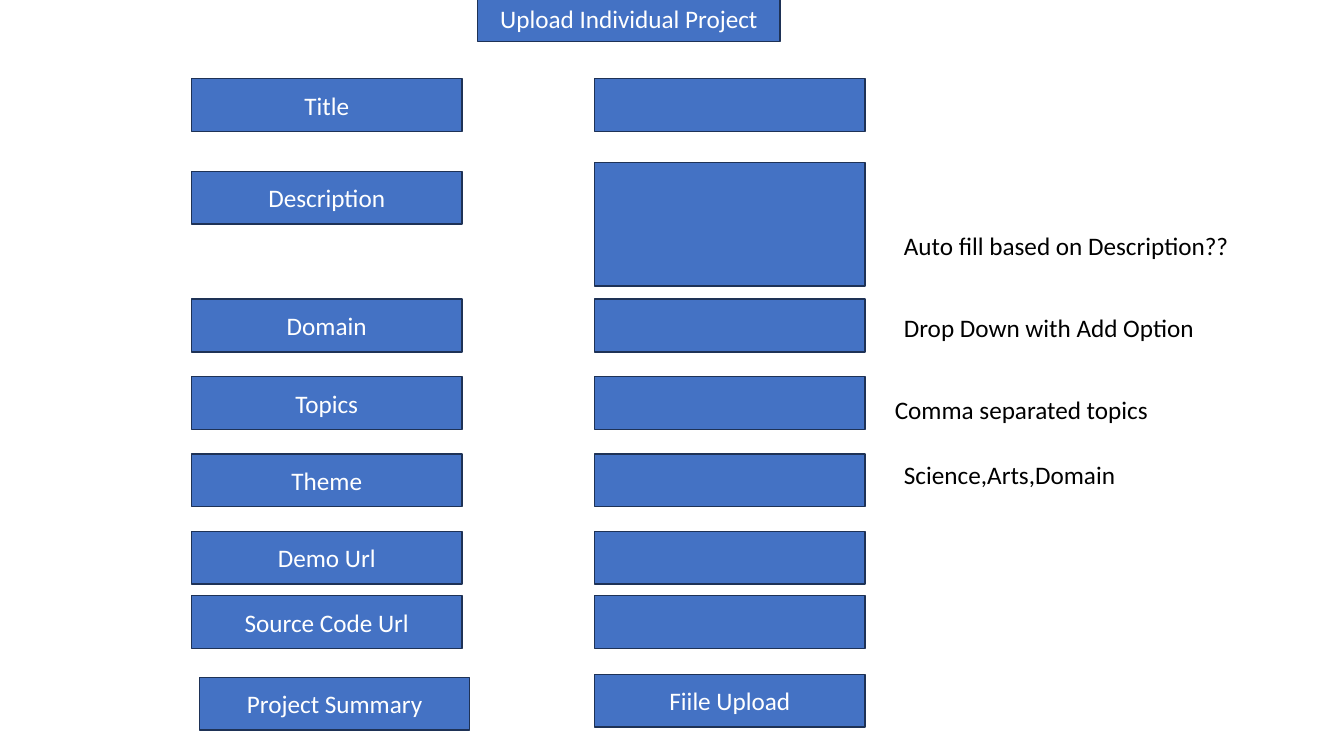
from pptx import Presentation
from pptx.dml.color import RGBColor
from pptx.enum.shapes import MSO_SHAPE
from pptx.enum.text import MSO_ANCHOR, MSO_AUTO_SIZE, PP_ALIGN
from pptx.util import Cm, Pt

RECTANGLE = MSO_SHAPE.RECTANGLE
MIDDLE = MSO_ANCHOR.MIDDLE
CENTER, LEFT = PP_ALIGN.CENTER, PP_ALIGN.LEFT
NO_FIT, GROW = MSO_AUTO_SIZE.NONE, MSO_AUTO_SIZE.SHAPE_TO_FIT_TEXT

BLUE = RGBColor(0x44, 0x72, 0xC4)
NAVY = RGBColor(0x1E, 0x32, 0x56)
WHITE = RGBColor(0xFF, 0xFF, 0xFF)
BLACK = RGBColor(0x00, 0x00, 0x00)
FONT, SIZE = "Calibri", Pt(18)

# Content; lengths in cm
HEADING = "Upload Individual Project"
LABEL_LEFT, FIELD_LEFT = 4.83, 14.99
BOX_WIDTH, BOX_HEIGHT = 6.81, 1.33
DOMAIN_TOP, ROW_PITCH = 7.54, 1.95

# Label, label top
LABELS = [
    ("Title", 1.98),
    ("Description", 4.32),
    *[(name, DOMAIN_TOP + row * ROW_PITCH)
      for row, name in enumerate(["Domain", "Topics", "Theme", "Demo Url"])],
    ("Source Code Url", 15.01),
    ("Project Summary", 17.07),
]
# Fields that differ from an empty box level with the label: text, top, height
SPECIAL_FIELDS = {
    "Description": ("", 4.09, 3.12),
    "Project Summary": ("Fiile Upload", 16.99, BOX_HEIGHT),
}
LABEL_SHIFT = {"Project Summary": 0.2}

# Note, left, top, width
NOTES = [
    ("Auto fill based on Description??", 22.53, 5.69, 8.79),
    ("Drop Down with Add Option", 22.53, 7.75, 7.92),
    ("Comma separated topics", 22.3, 9.8, 6.96),
    ("Science,Arts,Domain", 22.53, 11.46, 5.89),
]
NOTE_HEIGHT = 1.03


def write(shape, text, color, align):
    paragraph = shape.text_frame.paragraphs[0]
    paragraph.alignment = align
    run = paragraph.add_run()
    run.text = text
    run.font.name, run.font.size = FONT, SIZE
    run.font.color.rgb = color


def paint(shape, text):
    shape.fill.solid()
    shape.fill.fore_color.rgb = BLUE
    shape.line.color.rgb = NAVY
    shape.line.width = Pt(1)
    shape.text_frame.vertical_anchor = MIDDLE
    if text:
        write(shape, text, WHITE, CENTER)


def add_box(text, left, top, height=BOX_HEIGHT):
    box = slide.shapes.add_shape(
        RECTANGLE, Cm(left), Cm(top), Cm(BOX_WIDTH), Cm(height))
    box.shadow.inherit = False
    paint(box, text)


prs = Presentation()
prs.slide_width, prs.slide_height = Cm(33.87), Cm(19.05)
slide = prs.slides.add_slide(prs.slide_layouts.get_by_name("Title Only"))

# Heading
heading = slide.shapes.title
heading.left, heading.top = Cm(12.04), Cm(-0.13)
heading.width, heading.height = Cm(7.62), Cm(1.17)
heading.text_frame.auto_size = NO_FIT
paint(heading, HEADING)

# Form rows: label and field
for label, top in LABELS:
    add_box(label, LABEL_LEFT + LABEL_SHIFT.get(label, 0), top)
    field, field_top, field_height = SPECIAL_FIELDS.get(
        label, ("", top, BOX_HEIGHT))
    add_box(field, FIELD_LEFT, field_top, field_height)

# Notes beside the fields
for text, left, top, width in NOTES:
    note = slide.shapes.add_textbox(
        Cm(left), Cm(top), Cm(width), Cm(NOTE_HEIGHT))
    note.text_frame.word_wrap = False
    note.text_frame.auto_size = GROW
    write(note, text, BLACK, LEFT)

prs.save("out.pptx")
